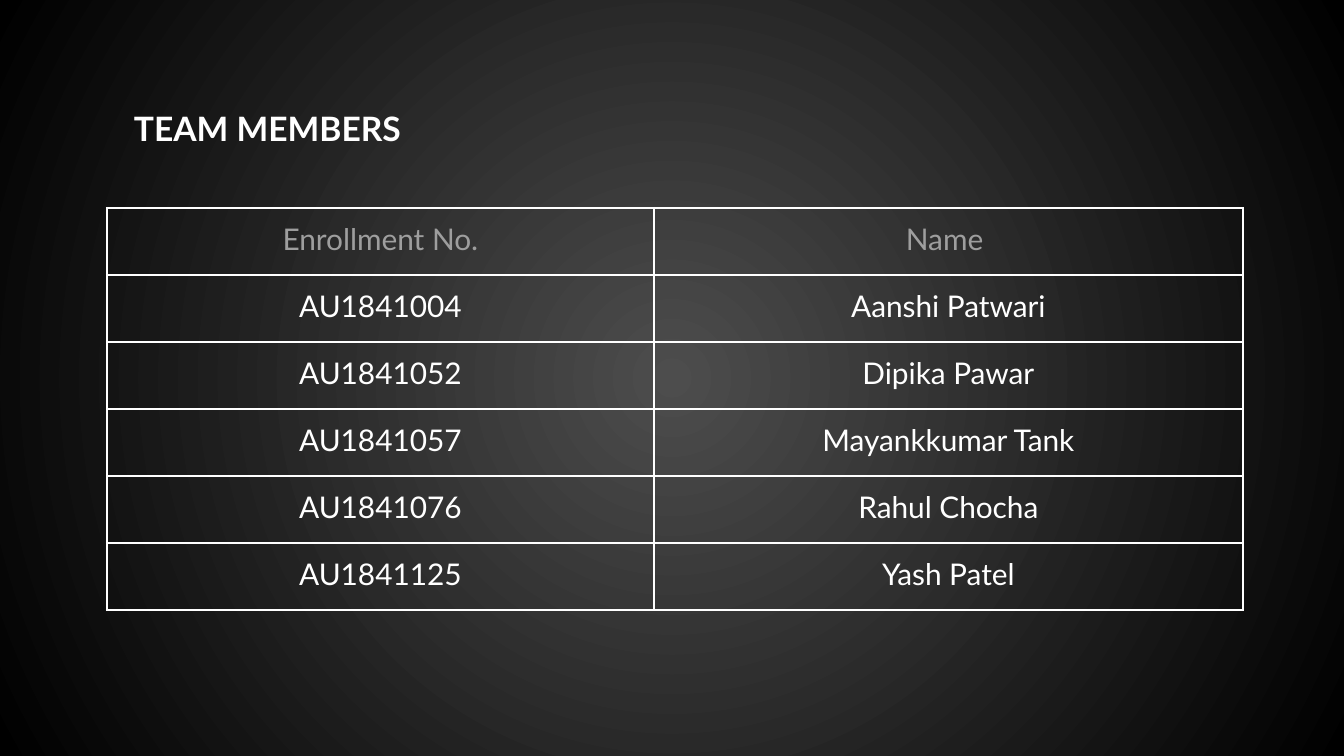
import pptx
import pptx.dml.color
import pptx.enum.text
import pptx.oxml.ns
import pptx.util
from lxml import etree

PX_PER_INCH = 134.4
ALIGN = pptx.enum.text.PP_ALIGN
ANCHOR = pptx.enum.text.MSO_ANCHOR


class Theme:
    white = "FFFFFF"
    grey = "9E9E9E"
    center = "4D4D4D"
    edge = "000000"
    font = "Lato"
    display_font = "League Spartan"
    title_size = 18
    cell_size = 16
    border_width = 1.5
    inset = 13


def px(length):
    return pptx.util.Emu(round(length * 914400 / PX_PER_INCH))


def rgb(color):
    return pptx.dml.color.RGBColor.from_string(color)


def qn(tag):
    return pptx.oxml.ns.qn(tag)


def apply(target, values):
    for name, value in values.items():
        setattr(target, name, value)


class SlideBuilder:
    def __init__(self, slide, theme):
        self.slide = slide
        self.theme = theme

    def background(self):
        fill = self.slide.background.fill
        fill.gradient()
        colors = (self.theme.center, self.theme.edge)
        for position, (stop, color) in enumerate(zip(fill.gradient_stops, colors)):
            stop.position = position
            stop.color.rgb = rgb(color)
        # Radial gradient spreading from the middle of the slide
        gradient = self.slide.element.find(".//" + qn("a:gradFill"))
        gradient.remove(gradient.find(qn("a:lin")))
        radial = etree.SubElement(gradient, qn("a:path"), path="circle")
        sides = dict.fromkeys("ltrb", "50000")
        etree.SubElement(radial, qn("a:fillToRect"), sides)

    def span(self, para, text, size, color, font, bold=False):
        span = para.add_run()
        span.text = text
        apply(span.font, {"size": pptx.util.Pt(size), "name": font, "bold": bold})
        span.font.color.rgb = rgb(color)

    def margins(self, target):
        sides = ("left", "top", "right", "bottom")
        apply(target, {f"margin_{side}": px(self.theme.inset) for side in sides})

    def title(self, text, left, top, width, height):
        theme = self.theme
        box = self.slide.shapes.title
        apply(box, {"left": px(left), "top": px(top),
                    "width": px(width), "height": px(height)})
        frame = box.text_frame
        apply(frame, {"word_wrap": True, "vertical_anchor": ANCHOR.MIDDLE,
                      "auto_size": pptx.enum.text.MSO_AUTO_SIZE.NONE})
        self.margins(frame)
        para = frame.paragraphs[0]
        apply(para, {"alignment": ALIGN.LEFT, "line_spacing": 1.15,
                     "space_before": pptx.util.Pt(0)})
        # The lead space is set in the display face
        for part, font in ((" ", theme.display_font), (text, theme.font)):
            self.span(para, part, theme.title_size, theme.white, font, bold=True)

    def borders(self, cell):
        properties = cell._tc.get_or_add_tcPr()
        width = str(pptx.util.Pt(self.theme.border_width))
        for side in "LRTB":
            line = etree.SubElement(properties, qn(f"a:ln{side}"), w=width)
            fill = etree.SubElement(line, qn("a:solidFill"))
            etree.SubElement(fill, qn("a:srgbClr"), val=self.theme.white)

    def table(self, rows, left, top, column_widths, row_height):
        theme = self.theme
        frame = self.slide.shapes.add_table(
            len(rows), len(column_widths), px(left), px(top),
            px(sum(column_widths)), px(row_height * len(rows)))
        table = frame.table
        apply(table, {"first_row": False, "horz_banding": False})
        for column, width in zip(table.columns, column_widths):
            column.width = px(width)
        for row_index, values in enumerate(rows):
            table.rows[row_index].height = px(row_height)
            color = theme.white if row_index else theme.grey
            for column_index, text in enumerate(values):
                cell = table.cell(row_index, column_index)
                self.margins(cell)
                self.borders(cell)
                cell.fill.background()
                para = cell.text_frame.paragraphs[0]
                para.alignment = ALIGN.CENTER
                self.span(para, text, theme.cell_size, color, theme.font)


MEMBERS = [
    ("Enrollment No.", "Name "),
    ("AU1841004", "Aanshi Patwari"),
    ("AU1841052", "Dipika Pawar"),
    ("AU1841057", "Mayankkumar Tank"),
    ("AU1841076", "Rahul Chocha"),
    ("AU1841125", "Yash Patel"),
]


def main():
    deck = pptx.Presentation()
    apply(deck, {"slide_width": px(1344), "slide_height": px(756)})
    title_only = deck.slide_layouts[5]
    page = SlideBuilder(deck.slides.add_slide(title_only), Theme())

    # Backdrop and heading
    page.background()
    page.title("TEAM MEMBERS", 112, 95, 907, 60)

    # Team list
    page.table(MEMBERS, 107, 208, (547, 589), 67)

    deck.save("out.pptx")


if __name__ == "__main__":
    main()
